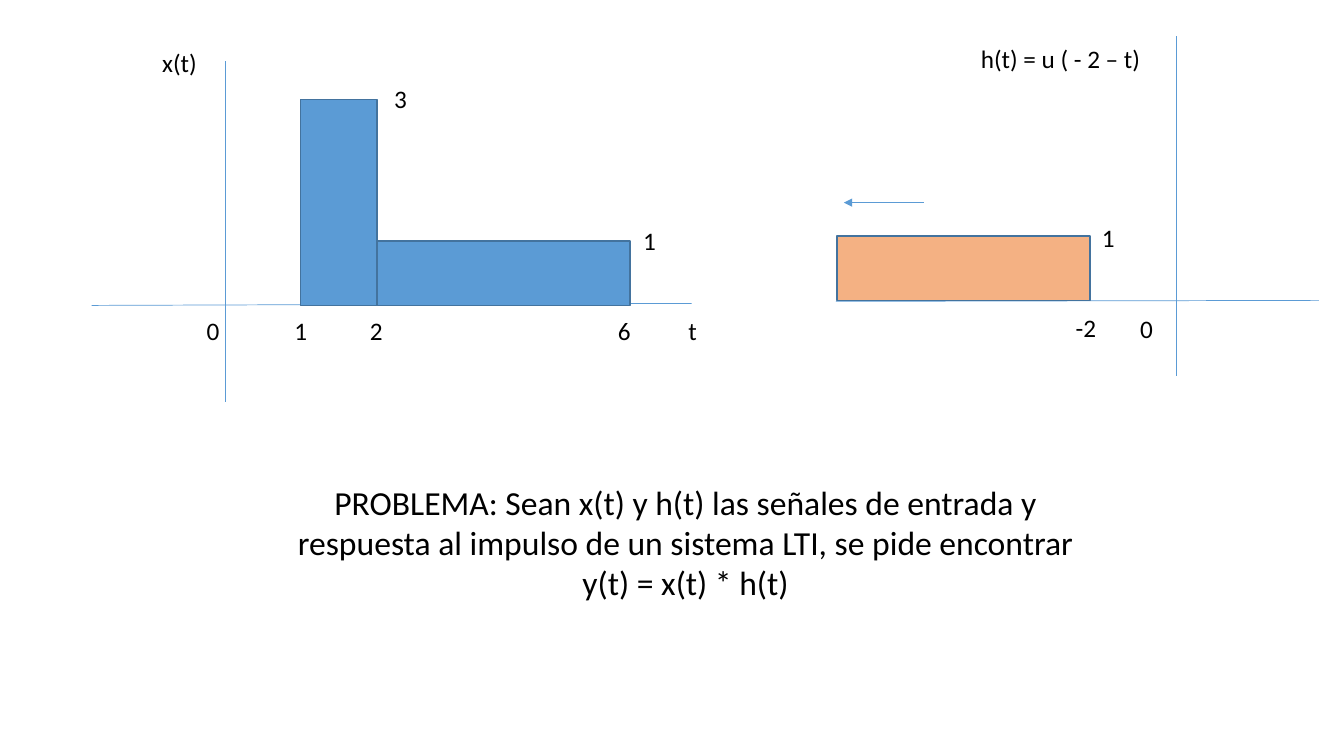
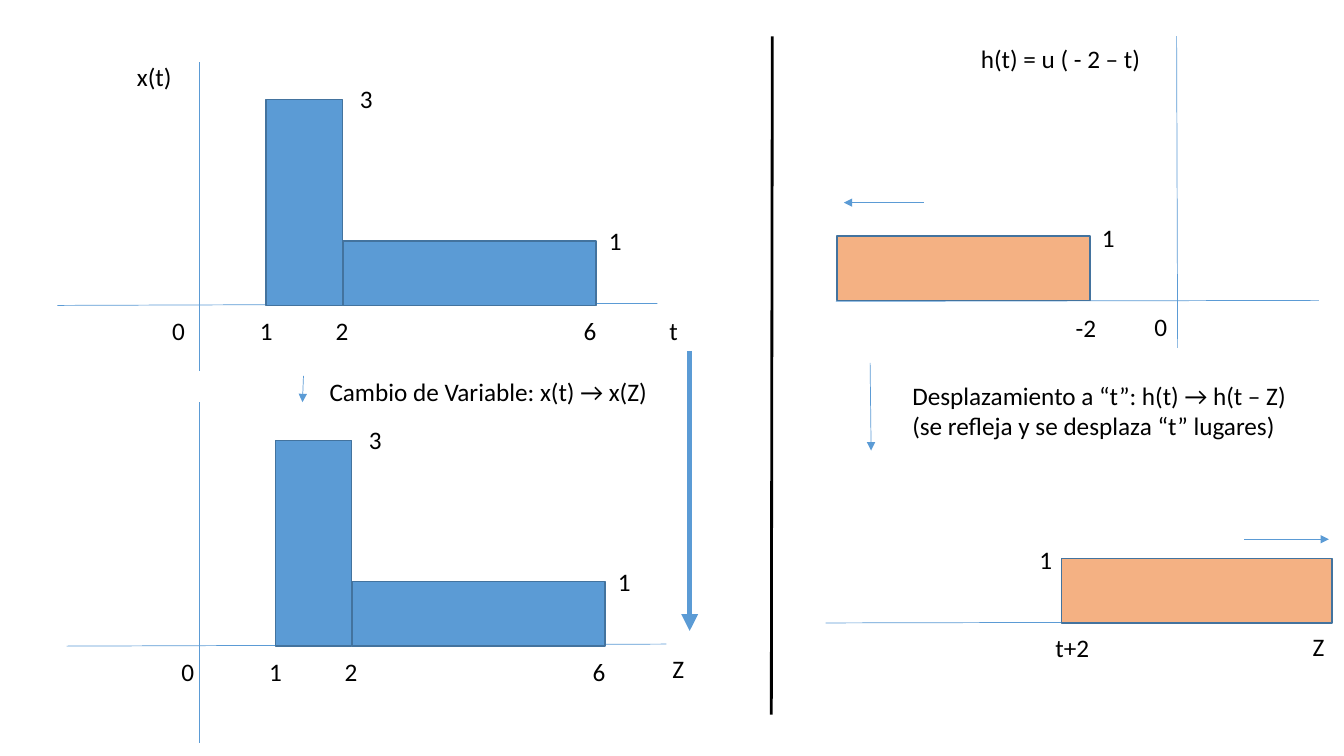
from dataclasses import dataclass

from pptx import Presentation
from pptx.dml.color import RGBColor
from pptx.enum.shapes import MSO_CONNECTOR, MSO_SHAPE
from pptx.enum.text import MSO_AUTO_SIZE, PP_ALIGN
from pptx.oxml.ns import qn
from pptx.util import Inches, Pt
from lxml.etree import SubElement


@dataclass(frozen=True)
class Theme:
    font: str = "Calibri"
    label: int = 18
    problem: int = 24
    text: RGBColor = RGBColor(0, 0, 0)
    signal: RGBColor = RGBColor(0x5B, 0x9B, 0xD5)
    response: RGBColor = RGBColor(0xF4, 0xB1, 0x83)
    outline: RGBColor = RGBColor(0x43, 0x73, 0x9E)
    thin: float = 0.5
    border: float = 1
    divider: float = 2
    thick: float = 4


THEME = Theme()
LABEL_W, LABEL_H = 0.58, 0.4
TALL_W, TALL_H = 0.76, 2.04
LONG_W, LOW_H = 2.51, 0.64


def apply(obj, values):
    for name, value in values.items():
        setattr(obj, name, value)


def add_text(s, lines, x, y, w=LABEL_W, h=LABEL_H, size=THEME.label, align=PP_ALIGN.LEFT):
    tf = s.shapes.add_textbox(Inches(x), Inches(y), Inches(w), Inches(h)).text_frame
    apply(tf, {"word_wrap": True, "auto_size": MSO_AUTO_SIZE.SHAPE_TO_FIT_TEXT})
    for i, line in enumerate(lines):
        p = tf.add_paragraph() if i else tf.paragraphs[0]
        p.alignment = align
        r = p.add_run()
        r.text = line
        apply(r.font, {"name": THEME.font, "size": Pt(size)})
        r.font.color.rgb = THEME.text


def add_line(s, start, end, width=THEME.thin, color=THEME.signal, arrow=False):
    points = [Inches(v) for v in (*start, *end)]
    cn = s.shapes.add_connector(MSO_CONNECTOR.STRAIGHT, *points)
    cn.line.width = Pt(width)
    cn.line.color.rgb = color
    if arrow:
        SubElement(cn.line._get_or_add_ln(), qn("a:tailEnd"), type="triangle")
    SubElement(cn._element.spPr, qn("a:effectLst"))


def add_bar(shapes, x, base, w, h, fill):
    sp = shapes.add_shape(MSO_SHAPE.RECTANGLE, Inches(x), Inches(base - h), Inches(w), Inches(h))
    sp.shadow.inherit = False
    sp.fill.solid()
    sp.fill.fore_color.rgb = fill
    sp.line.color.rgb = THEME.outline
    sp.line.width = Pt(THEME.border)


def add_input_plot(s, left, base, axis_x, axis_top, axis_bottom, variable, variable_at):
    add_line(s, (axis_x, axis_top), (axis_x, axis_bottom))
    add_line(s, (left, base), (left + 5.95, base - 0.02))
    labels = [("0", 1.04, 0.05), ("1", 1.91, 0.05), ("2", 2.66, 0.05), ("6", 5.12, 0.05),
              ("1", 5.37, -0.84), ("3", 2.9, -2.25)]
    for text, dx, dy in labels:
        add_text(s, [text], left + dx, base + dy)
    add_text(s, [variable], *variable_at)
    bars = s.shapes.add_group_shape().shapes
    add_bar(bars, left + 2.07, base, TALL_W, TALL_H, THEME.signal)
    add_bar(bars, left + 2.07 + TALL_W, base, LONG_W, LOW_H, THEME.signal)


def add_response_plot(s, axis_end, zero_at):
    add_text(s, ["h(t) = u ( - 2 – t)"], 9.63, 0.38, 4.34)
    add_text(s, ["-2"], 10.57, 3.05)
    add_text(s, ["1"], 10.83, 2.16)
    add_text(s, ["0"], *zero_at)
    add_line(s, (11.67, 0.36), axis_end)
    add_line(s, (8.29, 2.99), (13.08, 2.98))
    add_bar(s.shapes, 8.3, 2.98, LONG_W, LOW_H, THEME.response)
    add_line(s, (9.16, 2.01), (8.37, 2.01), arrow=True)


def add_shifted_plot(s):
    add_line(s, (8.19, 6.18), (12.98, 6.17))
    add_bar(s.shapes, 10.53, 6.18, 2.68, LOW_H, THEME.response)
    add_line(s, (12.34, 5.35), (13.18, 5.35), arrow=True)
    for text, x, y in [("1", 10.21, 5.35), ("t+2", 10.37, 6.22), ("Z", 12.92, 6.21)]:
        add_text(s, [text], x, y)


def build_problem(s):
    add_input_plot(s, 0.91, 3.03, 2.24, 0.61, 3.99, "t", (6.73, 3.08))
    add_text(s, ["x(t)"], 1.51, 0.42)
    add_response_plot(s, (11.67, 3.73), (11.21, 3.06))
    add_text(s, ["PROBLEMA: Sean x(t) y h(t) las señales de entrada y respuesta al impulso "
                 "de un sistema LTI, se pide encontrar", "y(t) = x(t) * h(t)"],
             2.53, 4.73, 8.54, 1.31, THEME.problem, PP_ALIGN.CENTER)


def build_change_of_variable(s):
    add_input_plot(s, 0.57, 3.03, 1.98, 0.62, 3.68, "t", (6.54, 3.08))
    add_text(s, ["x(t)"], 1.26, 0.56)
    add_response_plot(s, (11.68, 3.45), (11.35, 3.04))
    add_line(s, (3.01, 3.73), (3, 3.99), arrow=True)
    add_text(s, ["Cambio de Variable: x(t) → x(Z)"], 3.17, 3.68, 3.4)
    add_input_plot(s, 0.66, 6.41, 1.98, 3.99, 7.37, "Z", (6.57, 6.43))
    add_line(s, (8.63, 3.6), (8.64, 4.47), arrow=True)
    add_text(s, ["Desplazamiento a “t”: h(t) → h(t – Z)", "(se refleja y se desplaza “t” lugares)"],
             8.95, 3.72, 3.97, 0.71)
    add_line(s, (6.84, 3.48), (6.84, 6.26), THEME.thick, arrow=True)
    add_shifted_plot(s)
    add_line(s, (7.66, 0.36), (7.65, 7.09), THEME.divider, THEME.text)


def main():
    prs = Presentation()
    apply(prs, {"slide_width": Inches(13.33), "slide_height": Inches(7.5)})
    for build in (build_problem, build_change_of_variable):
        build(prs.slides.add_slide(prs.slide_layouts[6]))
    prs.save("out.pptx")


if __name__ == "__main__":
    main()
